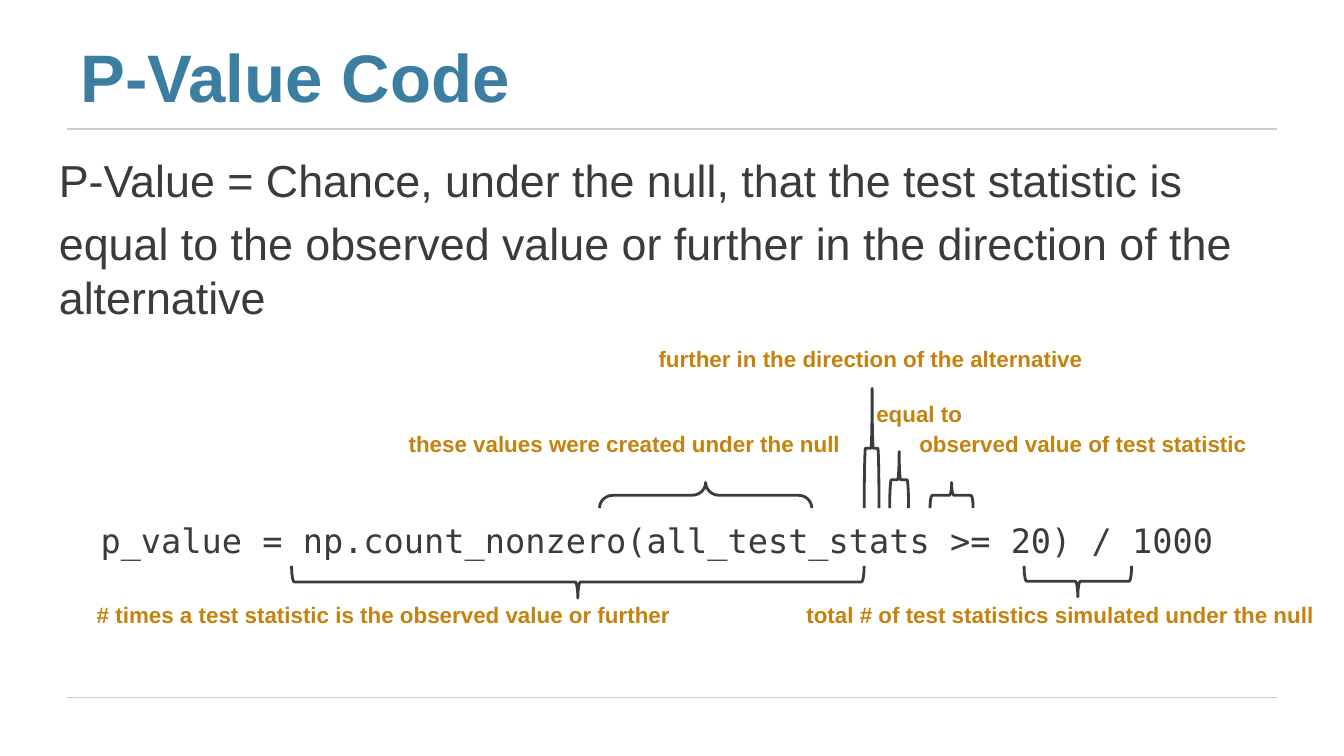
import pptx
import pptx.dml.color
import pptx.enum.shapes
import pptx.enum.text
import pptx.util
from lxml import etree
from pptx.util import Inches, Pt

RGBColor = pptx.dml.color.RGBColor
Anchor = pptx.enum.text.MSO_ANCHOR

BLUE = RGBColor(0x3B, 0x7E, 0xA1)
DARK = RGBColor(0x3B, 0x3B, 0x3B)
GOLD = RGBColor(0xC4, 0x82, 0x0E)
RULE_GRAY = RGBColor(0xCC, 0xCC, 0xCC)

SANS = "Arial"
MONO = "DejaVu Sans Mono"

DEFINITION = [
    "P-Value = Chance, under the null, that the test statistic is",
    "equal to the observed value or further in the direction of the alternative",
]
CODE = "p_value = np.count_nonzero(all_test_stats >= 20) / 1000"

# Offsets from the top left of the annotated code: left, top, width, text
LABEL_HEIGHT = 0.3
LABELS = [
    (4.25, 0.05, 3.16, "further in the direction of the alternative"),
    (5.87, 0.46, 0.65, "equal to"),
    (2.39, 0.68, 3.22, "these values were created under the null"),
    (6.19, 0.68, 2.45, "observed value of test statistic"),
    (0.07, 1.95, 4.27, "# times a test statistic is the observed value or further"),
    (5.35, 1.95, 3.78, "total # of test statistics simulated under the null"),
]
CODE_TOP = 1.25
BRACE_ABOVE_BOTTOM = 1.31
BRACE_BELOW_TOP = 1.74
# left, width, height, curvature, position of the point
BRACES_ABOVE = [
    (3.81, 1.58, 0.19, 0.524, 0.5),
    (5.78, 0.11, 0.89, 0.083, 0.467),
    (5.97, 0.14, 0.42, 0.083, 0.5),
    (6.27, 0.32, 0.19, 0.083, 0.5),
]
BRACES_BELOW = [
    (1.52, 4.26, 0.24, 0.083, 0.5),
    (6.97, 0.8, 0.23, 0.083, 0.5),
]


def add_text(slide, box, lines, size, color, font=SANS, bold=False,
             inset=0.1, anchor=Anchor.TOP, wrap=True):
    frame = slide.shapes.add_textbox(*map(Inches, box)).text_frame
    frame.word_wrap = wrap
    frame.vertical_anchor = anchor
    frame.margin_left = frame.margin_right = Inches(inset)
    frame.margin_top = frame.margin_bottom = Inches(inset)
    frame.text = "\n".join(lines)
    for paragraph in frame.paragraphs:
        paragraph.font.name = font
        paragraph.font.size = Pt(size)
        paragraph.font.bold = bold
        paragraph.font.color.rgb = color
    return frame


def add_rule(slide, left, top, width):
    rule = slide.shapes.add_connector(
        pptx.enum.shapes.MSO_CONNECTOR.STRAIGHT,
        Inches(left), Inches(top), Inches(left + width), Inches(top))
    rule.line.color.rgb = RULE_GRAY
    rule.line.width = Pt(0.75)
    etree.SubElement(rule.element.spPr, pptx.oxml.ns.qn("a:effectLst"))


def add_brace(slide, box, curvature, point, rotation):
    """Turn a left brace so that it fills the box as seen on the slide."""
    left, top, width, height = box
    shift = (width - height) / 2
    brace = slide.shapes.add_shape(
        pptx.enum.shapes.MSO_SHAPE.LEFT_BRACE,
        Inches(left + shift), Inches(top - shift), Inches(height), Inches(width))
    brace.rotation = rotation
    brace.adjustments[0] = curvature
    brace.adjustments[1] = point
    brace.fill.background()
    brace.line.color.rgb = DARK
    brace.line.width = Pt(1.5)
    brace.shadow.inherit = False


def add_heading(slide, left, top, width, height):
    add_text(slide, (left, top, 7.33, height), ["P-Value Code"], 36, BLUE,
             bold=True, anchor=Anchor.BOTTOM)
    add_rule(slide, left, top + height, width)


def add_definition(slide, left, top, width, height):
    frame = add_text(slide, (left, top, width, height), DEFINITION, 24, DARK)
    for paragraph in frame.paragraphs:
        paragraph.space_before = Pt(4.8)


def add_annotated_code(slide, left, top, width):
    code = add_text(slide, (left, top + CODE_TOP, width, 0.58), [CODE], 18,
                    DARK, font=MONO)
    code.paragraphs[0].line_spacing = 1.15

    for x, y, label_width, label in LABELS:
        add_text(slide, (left + x, top + y, label_width, LABEL_HEIGHT), [label],
                 12, GOLD, bold=True, inset=0, anchor=Anchor.MIDDLE, wrap=False)

    for x, span, depth, curvature, point in BRACES_ABOVE:
        box = (left + x, top + BRACE_ABOVE_BOTTOM - depth, span, depth)
        add_brace(slide, box, curvature, point, 90)
    for x, span, depth, curvature, point in BRACES_BELOW:
        box = (left + x, top + BRACE_BELOW_TOP, span, depth)
        add_brace(slide, box, curvature, point, 270)


def main():
    deck = pptx.Presentation()
    deck.slide_width = Inches(10)
    deck.slide_height = deck.slide_width * 9 // 16
    slide = deck.slides.add_slide(deck.slide_layouts[6])

    add_heading(slide, 0.5, 0.23, 9, 0.73)
    add_definition(slide, 0.34, 1.04, 9.66, 1.4)
    add_annotated_code(slide, 0.65, 2.47, 8.87)
    add_rule(slide, 0.5, 5.19, 9)

    deck.save("out.pptx")


if __name__ == "__main__":
    main()
